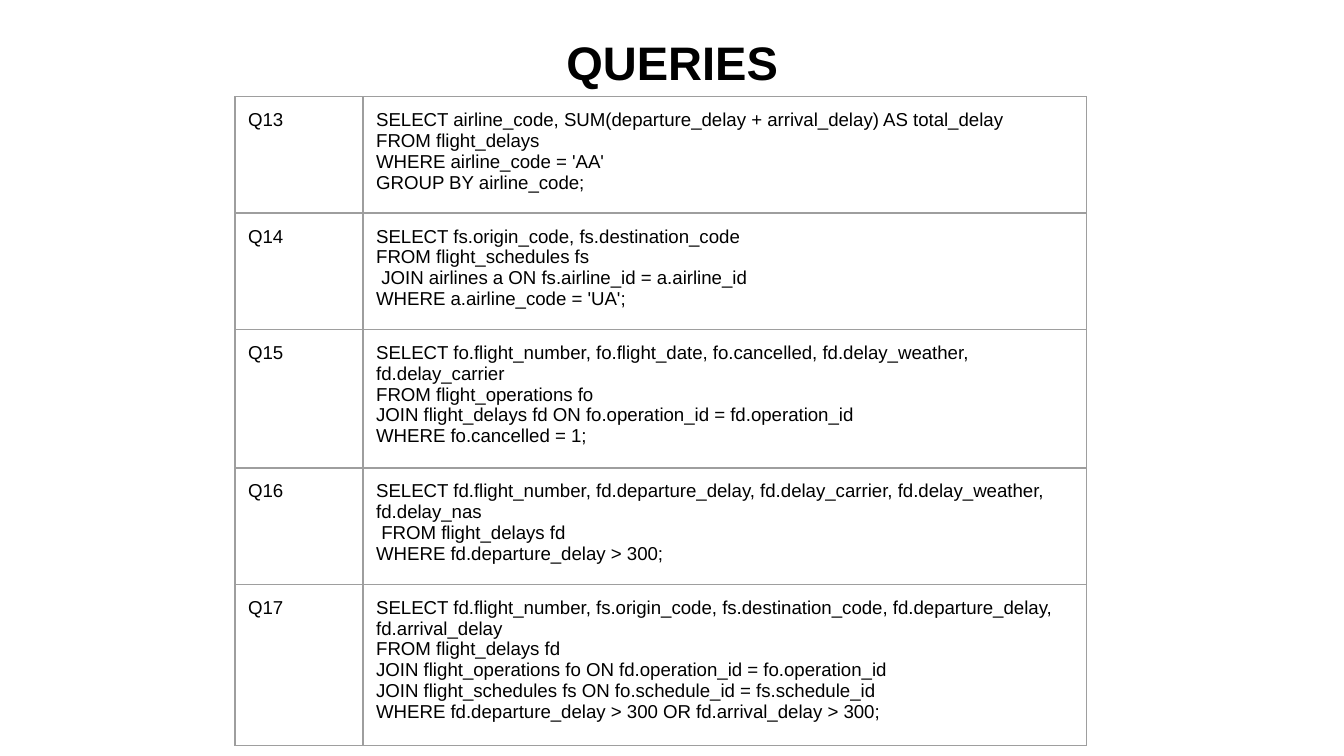
from lxml import etree
from pptx import Presentation
from pptx.dml.color import RGBColor
from pptx.enum import text
from pptx.oxml import ns
from pptx.util import Cm, Pt

BLACK = RGBColor(0x00, 0x00, 0x00)
GREY = RGBColor(0x9E, 0x9E, 0x9E)
PAD = Cm(0.25)

QUERIES = {
    "Q13": """SELECT airline_code, SUM(departure_delay + arrival_delay) AS total_delay
FROM flight_delays
WHERE airline_code = 'AA'
GROUP BY airline_code;""",
    "Q14": """SELECT fs.origin_code, fs.destination_code
FROM flight_schedules fs
 JOIN airlines a ON fs.airline_id = a.airline_id
WHERE a.airline_code = 'UA';""",
    "Q15": """SELECT fo.flight_number, fo.flight_date, fo.cancelled, fd.delay_weather, fd.delay_carrier
FROM flight_operations fo
JOIN flight_delays fd ON fo.operation_id = fd.operation_id
WHERE fo.cancelled = 1;""",
    "Q16": """SELECT fd.flight_number, fd.departure_delay, fd.delay_carrier, fd.delay_weather, fd.delay_nas
 FROM flight_delays fd
WHERE fd.departure_delay > 300;""",
    "Q17": """SELECT fd.flight_number, fs.origin_code, fs.destination_code, fd.departure_delay, fd.arrival_delay
FROM flight_delays fd
JOIN flight_operations fo ON fd.operation_id = fo.operation_id
JOIN flight_schedules fs ON fo.schedule_id = fs.schedule_id
WHERE fd.departure_delay > 300 OR fd.arrival_delay > 300;""",
}


def write(tf, content, size=10, bold=False, align=text.PP_ALIGN.LEFT):
    tf.word_wrap = True
    tf.text = content
    for p in tf.paragraphs:
        p.alignment = align
        for r in p.runs:
            r.font.name = "Arial"
            r.font.size = Pt(size)
            r.font.bold = bold
            r.font.color.rgb = BLACK


def add_borders(cell):
    """Draw a thin grey line on all four sides of the cell."""
    tc_pr = cell._tc.get_or_add_tcPr()
    for i, side in enumerate(("lnL", "lnR", "lnT", "lnB")):
        ln = etree.Element(ns.qn(f"a:{side}"), w=str(Pt(0.75)))
        fill = etree.SubElement(ln, ns.qn("a:solidFill"))
        etree.SubElement(fill, ns.qn("a:srgbClr"), val=str(GREY))
        tc_pr.insert(i, ln)


prs = Presentation()
prs.slide_width, prs.slide_height = Cm(25.4), Cm(14.29)
s = prs.slides.add_slide(prs.slide_layouts[6])

title = s.shapes.add_textbox(Cm(0.87), Cm(0.36), Cm(23.67), Cm(1.6))
tf = title.text_frame
tf.margin_left = tf.margin_right = tf.margin_top = tf.margin_bottom = PAD
tf.vertical_anchor = text.MSO_ANCHOR.BOTTOM
write(tf, "QUERIES", size=25.2, bold=True, align=text.PP_ALIGN.CENTER)

# Rows start at a minimum height and grow with their text
row_height = Cm(1.07)
frame = s.shapes.add_table(len(QUERIES), 2, Cm(4.44), Cm(1.83),
                           Cm(16.1), row_height * len(QUERIES))
table = frame.table
table.first_row = table.horz_banding = False
table.columns[0].width, table.columns[1].width = Cm(2.42), Cm(13.68)

for row, query in zip(table.rows, QUERIES.items()):
    row.height = row_height
    for cell, content in zip(row.cells, query):
        cell.margin_left = cell.margin_right = PAD
        cell.margin_top = cell.margin_bottom = PAD
        cell.fill.background()
        add_borders(cell)
        write(cell.text_frame, content)

prs.save("out.pptx")
